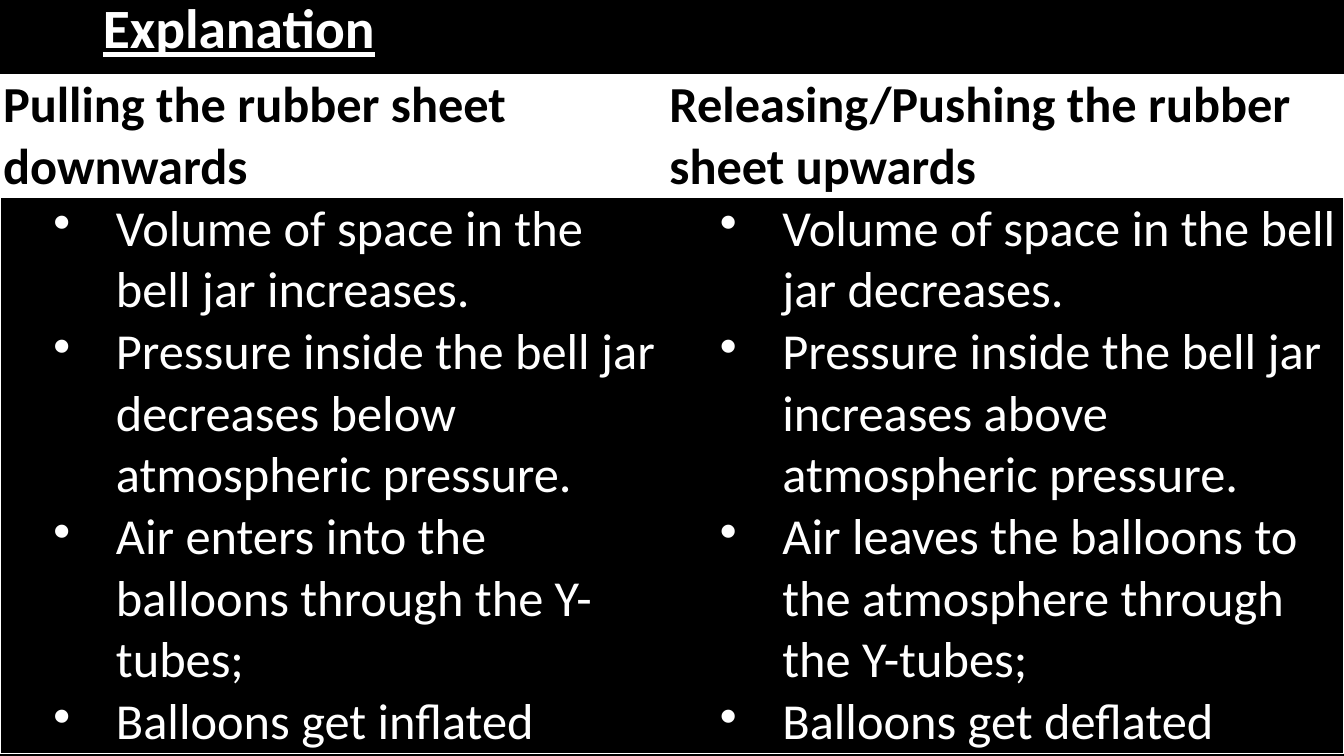
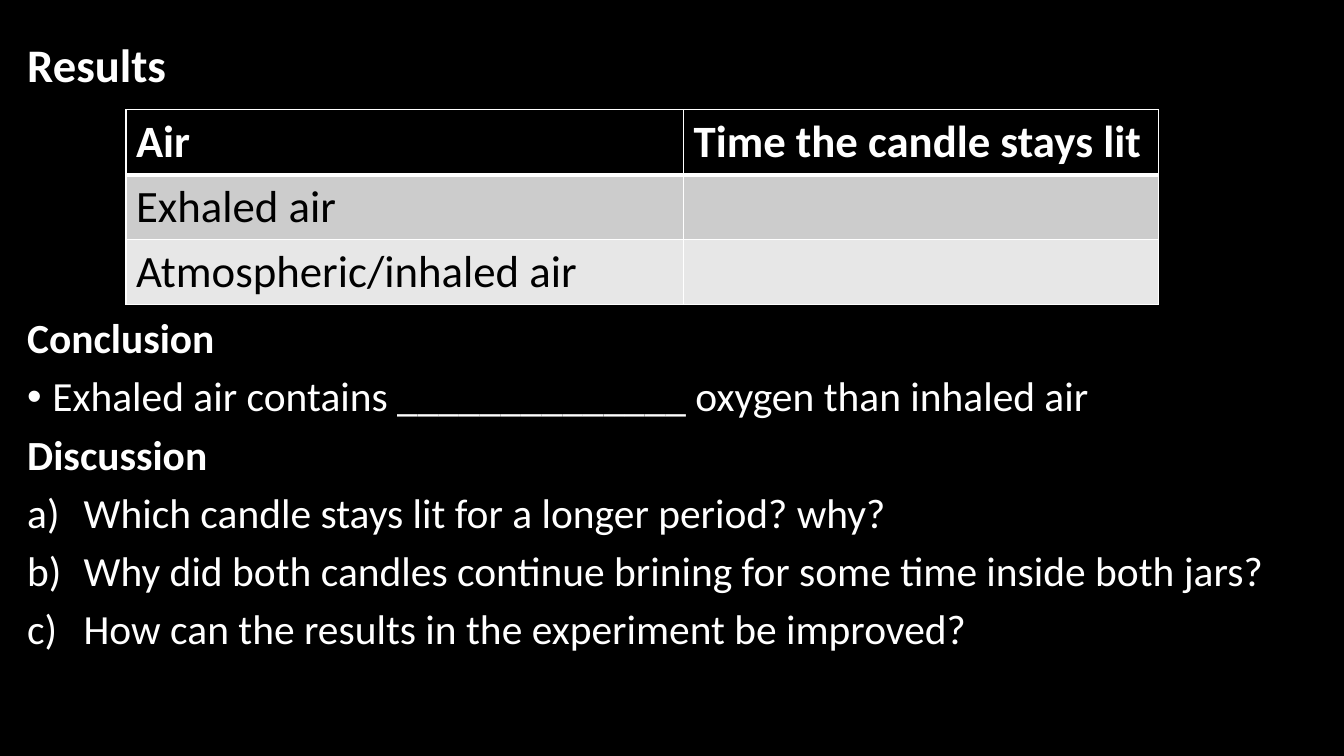
from lxml import etree
from pptx import Presentation
from pptx.dml.color import RGBColor
from pptx.enum.text import MSO_ANCHOR, MSO_AUTO_SIZE, PP_ALIGN
from pptx.oxml.ns import qn
from pptx.util import Inches, Pt

COLORS = {
    "black": "000000",
    "white": "FFFFFF",
    "band_dark": "CCCCCC",
    "band_light": "E7E7E7",
}
FONT = "Calibri"
TITLE_ONLY, TITLE_AND_CONTENT = 5, 1

EXPLANATION = {
    "Pulling the rubber sheet downwards": [
        "Volume of space in the bell jar increases.",
        "Pressure inside the bell jar decreases below atmospheric pressure.",
        "Air enters into the balloons through the Y-tubes;",
        "Balloons get inflated",
    ],
    "Releasing/Pushing the rubber sheet upwards": [
        "Volume of space in the bell jar decreases.",
        "Pressure inside the bell jar increases above atmospheric pressure.",
        "Air leaves the balloons to the atmosphere through the Y-tubes;",
        "Balloons get deflated",
    ],
}
RESULTS = [
    ("Air", "Time the candle stays lit"),
    ("Exhaled air", ""),
    ("Atmospheric/inhaled air", ""),
]

HEADING = {"size": 29.6, "bold": True}
PLAIN = {"size": 29.6}
BULLET = {"tag": "a:buChar", "char": "•"}
LETTER = {"tag": "a:buAutoNum", "type": "alphaLcParenR"}
NO_BULLET = {"tag": "a:buNone"}
# text, font format, bullet, hanging indent (in), space before (pt);
# the space before "Conclusion" leaves room for the results table
FINDINGS = [
    ("Results", {"size": 33.3, "bold": True}, NO_BULLET, 0, 0),
    ("Conclusion", HEADING, NO_BULLET, 0, 161),
    ("Exhaled air contains ______________ oxygen than inhaled air",
     PLAIN, BULLET, 0.25, 9.5),
    ("Discussion", HEADING, NO_BULLET, 0, 9.5),
    ("Which candle stays lit for a longer period? why?",
     PLAIN, LETTER, 0.56, 9.5),
    ("Why did both candles continue brining for some time inside both jars?",
     PLAIN, LETTER, 0.56, 9.5),
    ("How can the results in the experiment be improved?",
     PLAIN, LETTER, 0.56, 9.5),
]


def rgb(name):
    return RGBColor.from_string(COLORS[name])


def add_run(p, text, size, color="white", **font_format):
    r = p.add_run()
    r.text = text
    r.font.name, r.font.size = FONT, Pt(size)
    r.font.color.rgb = rgb(color)
    for key, value in {"bold": False, **font_format}.items():
        setattr(r.font, key, value)


def set_bullet(p, bullet, margin=0, hang=0):
    """Set the bullet and its indents, given in inches."""
    pPr = p._p.get_or_add_pPr()
    pPr.set("marL", str(Inches(margin)))
    pPr.set("indent", str(-Inches(hang)))
    attributes = {k: v for k, v in bullet.items() if k != "tag"}
    etree.SubElement(pPr, qn(bullet["tag"]), attributes)


def next_paragraph(tf, index):
    return tf.paragraphs[0] if index == 0 else tf.add_paragraph()


def set_borders(cell, **widths):
    """Draw white borders; a width of 0 points hides that side."""
    tcPr = cell._tc.get_or_add_tcPr()
    for side in "LRTB":
        width = widths.get(side, 0)
        ln = etree.SubElement(tcPr, qn("a:ln" + side), w=str(Pt(width)))
        if width:
            fill = etree.SubElement(ln, qn("a:solidFill"))
            etree.SubElement(fill, qn("a:srgbClr"), val=COLORS["white"])
        else:
            etree.SubElement(ln, qn("a:noFill"))


def fill_cell(cell, color):
    cell.fill.solid()
    cell.fill.fore_color.rgb = rgb(color)


def place(sp, box):
    sp.left, sp.top, sp.width, sp.height = map(Inches, box)


def new_slide(prs, layout):
    slide = prs.slides.add_slide(prs.slide_layouts[layout])
    slide.background.fill.solid()
    slide.background.fill.fore_color.rgb = rgb("black")
    return slide


def add_title(slide, box, text):
    sp = slide.shapes.title
    place(sp, box)
    tf = sp.text_frame
    tf.auto_size = MSO_AUTO_SIZE.NONE
    tf.vertical_anchor = MSO_ANCHOR.MIDDLE
    p = tf.paragraphs[0]
    p.alignment, p.line_spacing = PP_ALIGN.LEFT, 0.9
    add_run(p, text, 39.6, bold=True, underline=True)


def add_table(slide, left, top, col_widths, row_heights):
    frame = slide.shapes.add_table(
        len(row_heights), len(col_widths), Inches(left), Inches(top),
        Inches(sum(col_widths)), Inches(sum(row_heights)))
    table = frame.table
    table.horz_banding = False
    for col, width in zip(table.columns, col_widths):
        col.width = Inches(width)
    for row, height in zip(table.rows, row_heights):
        row.height = Inches(height)
    return table


def add_explanation_table(slide, left, top):
    table = add_table(slide, left, top, (6.61, 6.72), (1.22, 5.49))
    outer = 0.79
    for col, (heading, points) in enumerate(EXPLANATION.items()):
        head, body = table.cell(0, col), table.cell(1, col)
        side = {"LR"[col]: outer}
        set_borders(head, T=outer, B=outer, **side)
        set_borders(body, T=outer, B=outer, **side)
        for cell, color in ((head, "white"), (body, "black")):
            fill_cell(cell, color)
            cell.margin_left = cell.margin_right = Inches(0.03)
            cell.margin_top = cell.margin_bottom = 0
        add_run(head.text_frame.paragraphs[0], heading, 36, "black", bold=True)
        for i, point in enumerate(points):
            p = next_paragraph(body.text_frame, i)
            set_bullet(p, BULLET, 1.12, 0.62)
            add_run(p, point, 36)


def add_results_table(slide, left, top):
    table = add_table(slide, left, top, (5.53, 4.71), [0.64] * len(RESULTS))
    fills = ("black", "band_dark", "band_light")
    for row, (texts, fill) in enumerate(zip(RESULTS, fills)):
        is_head = row == 0
        for col, text in enumerate(texts):
            cell = table.cell(row, col)
            set_borders(cell, L=1, R=1, T=3 if row == 1 else 1,
                        B=3 if is_head else 1)
            fill_cell(cell, fill)
            if text:
                add_run(cell.text_frame.paragraphs[0], text, 32,
                        "white" if is_head else "black", bold=is_head)


def add_findings(slide, box):
    sp = slide.placeholders[1]
    place(sp, box)
    tf = sp.text_frame
    tf.auto_size = MSO_AUTO_SIZE.NONE
    for i, (text, font_format, bullet, hang, before) in enumerate(FINDINGS):
        p = next_paragraph(tf, i)
        p.line_spacing, p.space_before = 0.9, Pt(before)
        set_bullet(p, bullet, hang, hang)
        add_run(p, text, **font_format)


def build_explanation(prs):
    slide = new_slide(prs, TITLE_ONLY)
    add_title(slide, (0.92, 0.02, 11.5, 0.57), "Explanation")
    add_explanation_table(slide, 0, 0.74)


def build_results(prs):
    slide = new_slide(prs, TITLE_AND_CONTENT)
    title = slide.shapes.title.element
    title.getparent().remove(title)
    add_findings(slide, (0.17, 0.37, 13.16, 6.39))
    add_results_table(slide, 1.25, 1.09)


def main():
    prs = Presentation()
    prs.slide_width, prs.slide_height = Inches(13.33), Inches(7.5)
    build_explanation(prs)
    build_results(prs)
    prs.save("out.pptx")


if __name__ == "__main__":
    main()
